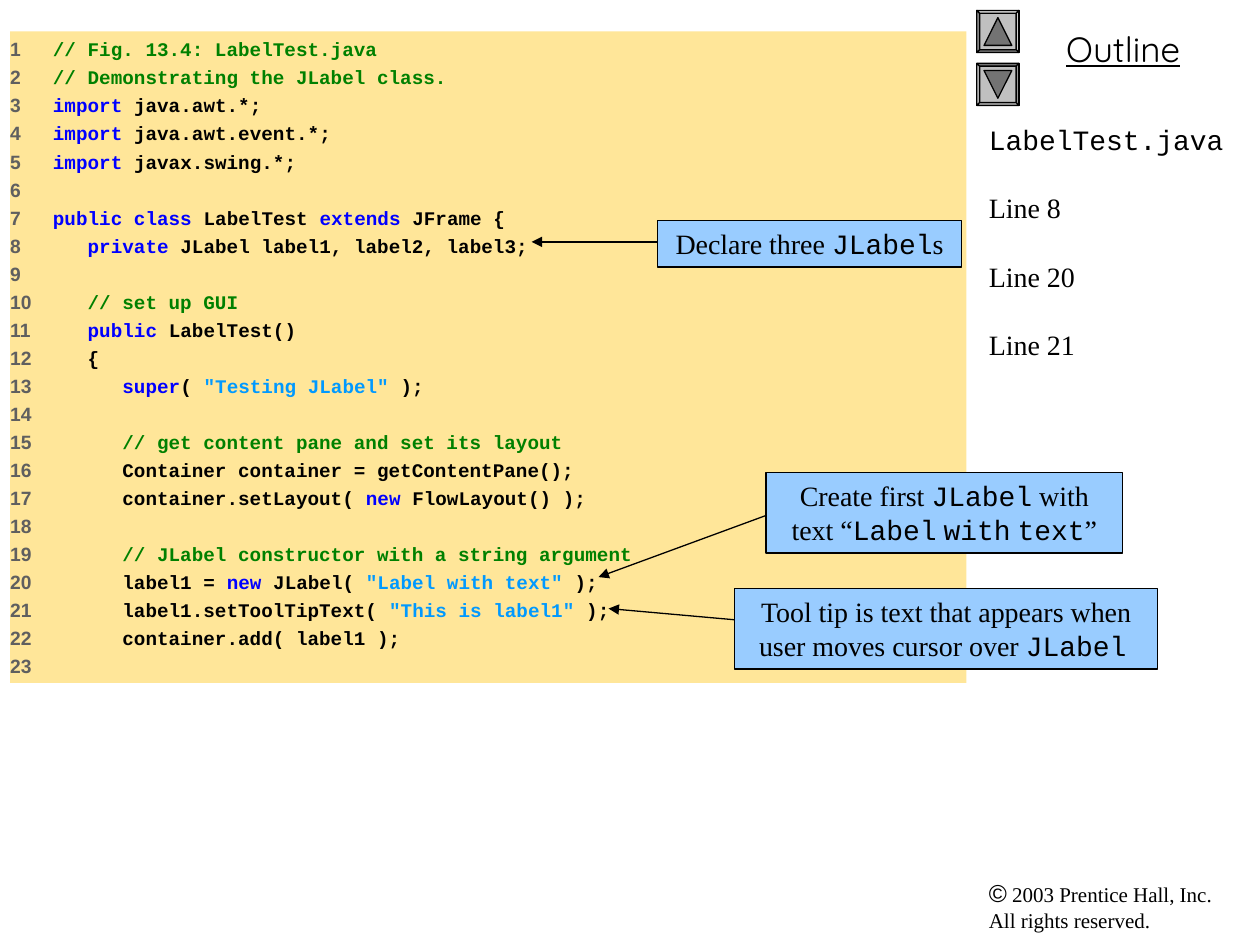
from dataclasses import dataclass

from lxml import etree
from pptx import Presentation
from pptx.dml.color import RGBColor
from pptx.enum.shapes import MSO_CONNECTOR, MSO_SHAPE
from pptx.enum.text import MSO_ANCHOR, PP_ALIGN
from pptx.oxml.ns import qn
from pptx.util import Inches, Pt

RECTANGLE = MSO_SHAPE.RECTANGLE
STRAIGHT = MSO_CONNECTOR.STRAIGHT
TOP = MSO_ANCHOR.TOP
LEFT, CENTER = PP_ALIGN.LEFT, PP_ALIGN.CENTER


@dataclass(frozen=True)
class Theme:
    sans: str = "Arial"
    serif: str = "Times New Roman"
    mono: str = "Courier New"
    heading: str = "Quicksand"
    ink: str = "000000"
    number: str = "5F5F5F"
    comment: str = "008000"
    keyword: str = "0000FF"
    string: str = "0099FF"
    listing: str = "FFE699"
    callout: str = "99CCFF"
    button: str = "C0C0C0"
    bevels: tuple = ("CDCDCD", "737373", "9A9A9A", "D9D9D9")
    arrow: str = "737373"
    heading_size: float = 20
    body_size: float = 16
    mark_size: float = 14
    small_size: float = 12
    code_size: float = 11
    code_gap: float = 2.8
    line_width: float = 0.75


THEME = Theme()

# Each code line is a list of (role, text); the role names a theme colour.
CODE = [
    [("comment", "// Fig. 13.4: LabelTest.java")],
    [("comment", "// Demonstrating the JLabel class.")],
    [("keyword", "import"), ("ink", " java.awt.*;")],
    [("keyword", "import"), ("ink", " java.awt.event.*;")],
    [("keyword", "import"), ("ink", " javax.swing.*;")],
    [],
    [("keyword", "public class"), ("ink", " LabelTest "),
     ("keyword", "extends"), ("ink", " JFrame {")],
    [("keyword", "   private"), ("ink", " JLabel label1, label2, label3;")],
    [],
    [("comment", "   // set up GUI")],
    [("keyword", "   public"), ("ink", " LabelTest()")],
    [("ink", "   {")],
    [("keyword", "      super"), ("ink", "( "),
     ("string", '"Testing JLabel"'), ("ink", " );")],
    [],
    [("comment", "      // get content pane and set its layout")],
    [("ink", "      Container container = getContentPane();")],
    [("ink", "      container.setLayout( "), ("keyword", "new"),
     ("ink", " FlowLayout() );")],
    [],
    [("comment", "      // JLabel constructor with a string argument")],
    [("ink", "      label1 = "), ("keyword", "new"), ("ink", " JLabel( "),
     ("string", '"Label with text"'), ("ink", " );")],
    [("ink", "      label1.setToolTipText( "),
     ("string", '"This is label1"'), ("ink", " );")],
    [("ink", "      container.add( label1 );")],
    [],
]

# Callouts: box, arrow start, arrow end, (font, text) spans
CALLOUTS = [
    ((5.22, 1.75, 2.41, 0.37), (5.24, 1.92), (4.22, 1.92),
     [("serif", "Declare three "), ("mono", "JLabel"), ("serif", "s")]),
    ((6.08, 3.75, 2.83, 0.64), (6.11, 4.08), (4.75, 4.58),
     [("serif", "Create first "), ("mono", "JLabel"),
      ("serif", " with text “"), ("mono", "Label"), ("serif", " "),
      ("mono", "with"), ("serif", " "), ("mono", "text"), ("serif", "”")]),
    ((5.83, 4.67, 3.36, 0.64), (5.84, 4.92), (4.83, 4.83),
     [("serif", "Tool tip is text that appears when user moves cursor over "),
      ("mono", "JLabel"), ("serif", " ")]),
]


class SlideWriter:
    def __init__(self, slide, theme):
        self.slide = slide
        self.theme = theme

    def paint(self, shape, fill, outlined=True):
        shape.shadow.inherit = False
        shape.fill.solid()
        shape.fill.fore_color.rgb = RGBColor.from_string(fill)
        if outlined:
            shape.line.color.rgb = RGBColor.from_string(self.theme.ink)
            shape.line.width = Pt(self.theme.line_width)
        else:
            shape.line.fill.background()

    def span(self, para, text, font, size, color=None, bold=False, underline=False):
        span = para.add_run()
        span.text = text
        span.font.name = font
        span.font.size = Pt(size)
        span.font.bold = bold
        span.font.underline = underline
        span.font.color.rgb = RGBColor.from_string(color or self.theme.ink)

    def frame(self, box, left_inset=0.1):
        frame = box.text_frame
        frame.word_wrap = True
        frame.vertical_anchor = TOP
        frame.margin_left = Inches(left_inset)
        frame.margin_right = Inches(0.1)
        frame.margin_top = frame.margin_bottom = Inches(0.05)
        frame.paragraphs[0].alignment = LEFT
        return frame

    def text_box(self, *place):
        return self.frame(self.slide.shapes.add_textbox(*map(Inches, place)))

    def rectangle(self, place, fill, outlined=True, left_inset=0.1):
        box = self.slide.shapes.add_shape(RECTANGLE, *map(Inches, place))
        self.paint(box, fill, outlined)
        return self.frame(box, left_inset)

    def polygon(self, points, fill):
        points = [(Inches(x), Inches(y)) for x, y in points]
        builder = self.slide.shapes.build_freeform(*points[0], scale=1.0)
        builder.add_line_segments(points[1:], close=True)
        self.paint(builder.convert_to_shape(), fill)

    def arrow(self, start, end):
        line = self.slide.shapes.add_connector(STRAIGHT, *map(Inches, start + end))
        line.line.color.rgb = RGBColor.from_string(self.theme.ink)
        line.line.width = Pt(self.theme.line_width)
        etree.SubElement(line.line._get_or_add_ln(), qn("a:tailEnd"), type="triangle")
        etree.SubElement(line._element.spPr, qn("a:effectLst"))

    def button(self, center_x, center_y, turn):
        """Bevelled square with a triangle: turn 1 points up, -1 points down."""
        def place(points):
            return [(center_x + turn * x, center_y + turn * y) for x, y in points]

        corners = [(1, -1), (1, 1), (-1, 1), (-1, -1)]
        outer = [(0.167 * x, 0.167 * y) for x, y in corners]
        inner = [(0.145 * x, 0.145 * y) for x, y in corners]
        self.polygon(place(outer), self.theme.button)
        for side, color in enumerate(self.theme.bevels):
            after = (side + 1) % 4
            edge = [outer[side], outer[after], inner[after], inner[side]]
            self.polygon(place(edge), color)
        triangle = [(0, -0.11), (0.11, 0.11), (-0.11, 0.11)]
        self.polygon(place(triangle), self.theme.arrow)

    def listing(self, place, lines):
        theme = self.theme
        frame = self.rectangle(place, theme.listing, outlined=False, left_inset=0)
        for number, tokens in enumerate(lines, 1):
            para = frame.paragraphs[0] if number == 1 else frame.add_paragraph()
            para.alignment = LEFT
            if number > 1:
                para.space_before = Pt(theme.code_gap)
            tabs = etree.SubElement(para._p.get_or_add_pPr(), qn("a:tabLst"))
            etree.SubElement(tabs, qn("a:tab"), pos=str(Inches(0.34)), algn="l")
            label = f"{number}\t" if tokens else str(number)
            self.span(para, label, theme.sans, theme.code_size, theme.number, bold=True)
            for role, text in tokens:
                self.span(para, text, theme.mono, theme.code_size,
                          getattr(theme, role), bold=True)

    def callout(self, place, start, end, spans):
        self.arrow(start, end)
        para = self.rectangle(place, self.theme.callout).paragraphs[0]
        para.alignment = CENTER
        for font, text in spans:
            self.span(para, text, getattr(self.theme, font), self.theme.body_size)


def main():
    deck = Presentation()
    deck.slide_width, deck.slide_height = Inches(10), Inches(7.5)
    writer = SlideWriter(deck.slides.add_slide(deck.slide_layouts[6]), THEME)

    # Copyright line
    para = writer.text_box(7.75, 6.92, 2.17, 0.54).paragraphs[0]
    writer.span(para, "©", THEME.sans, THEME.mark_size)
    writer.span(para, " 2003 Prentice Hall, Inc.", THEME.serif, THEME.small_size)
    para.add_line_break()
    writer.span(para, "All rights reserved.", THEME.serif, THEME.small_size)

    # Outline heading and navigation buttons
    para = writer.text_box(7.83, 0.17, 2.17, 0.44).paragraphs[0]
    para.alignment = CENTER
    writer.span(para, "Outline", THEME.heading, THEME.heading_size, underline=True)
    writer.button(7.92, 0.25, 1)
    writer.button(7.92, 0.67, -1)

    # Outline entries
    frame = writer.text_box(7.75, 0.92, 2.25, 6)
    writer.span(frame.paragraphs[0], "LabelTest.java", THEME.mono, THEME.body_size)
    for entry in ("Line 8", "Line 20", "Line 21"):
        para = frame.add_paragraph()
        para.space_before = Pt(20)
        writer.span(para, entry, THEME.serif, THEME.body_size)

    # Program listing with its callouts
    writer.listing((0.08, 0.25, 7.59, 5.17), CODE)
    for callout in CALLOUTS:
        writer.callout(*callout)

    deck.save("out.pptx")


if __name__ == "__main__":
    main()
